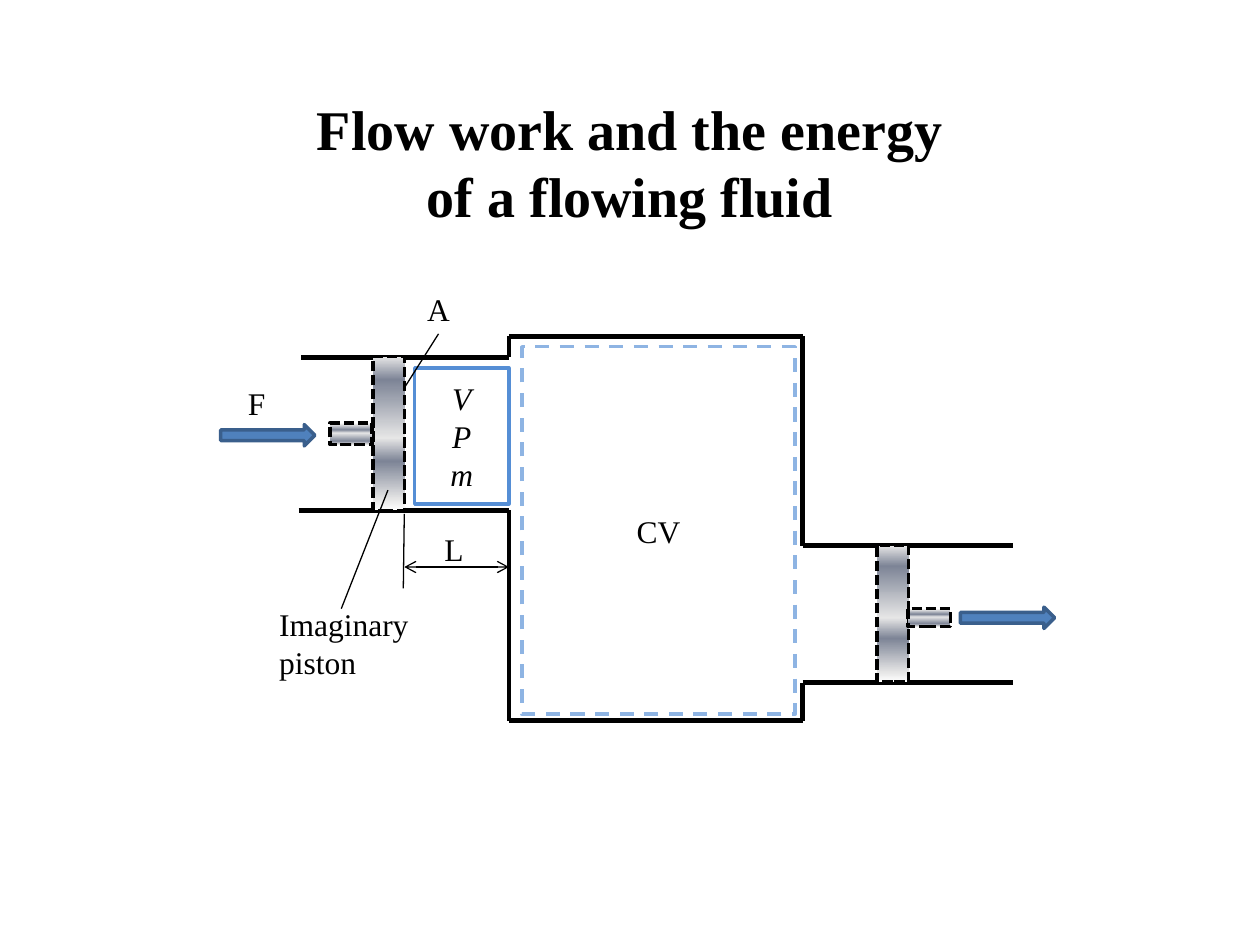
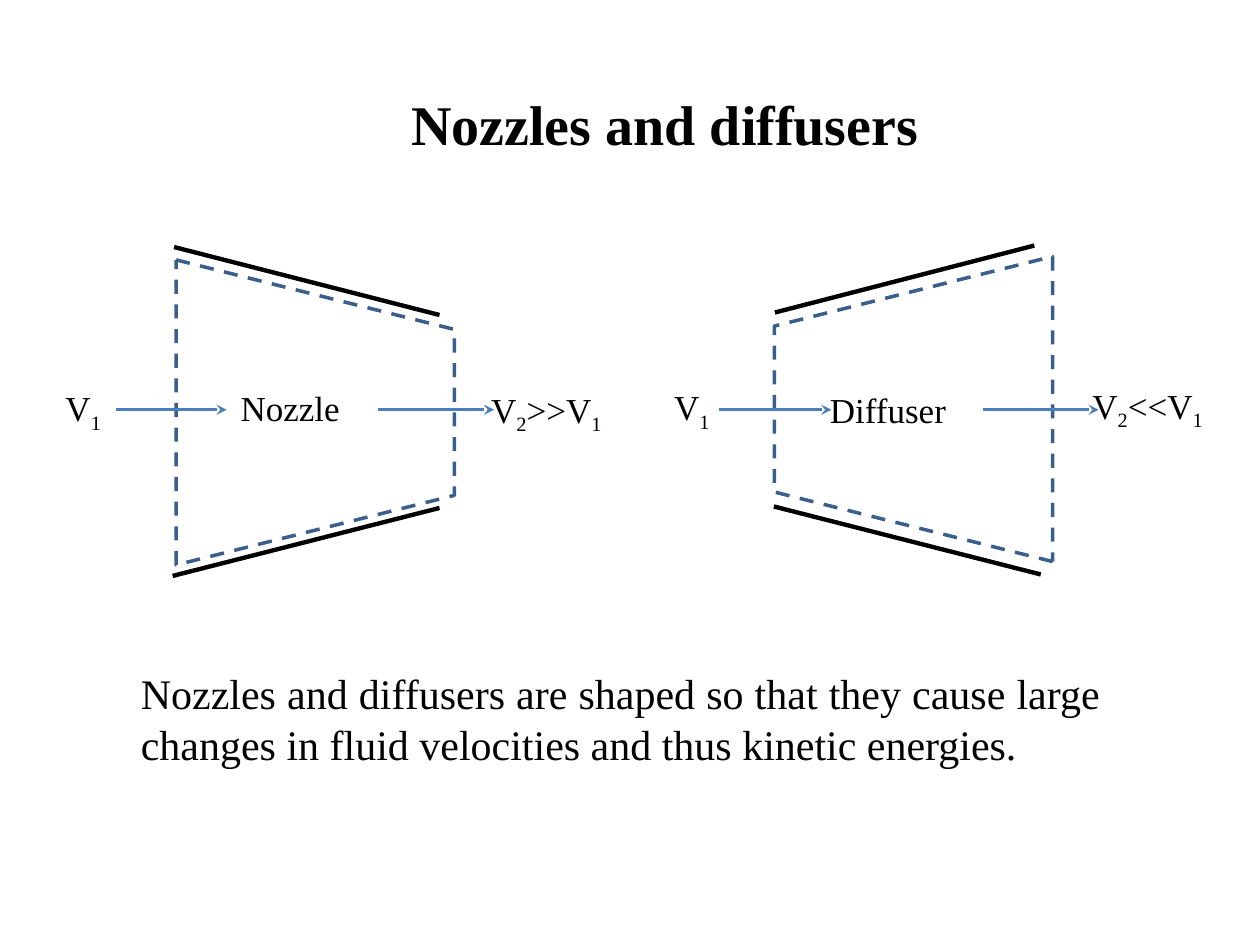
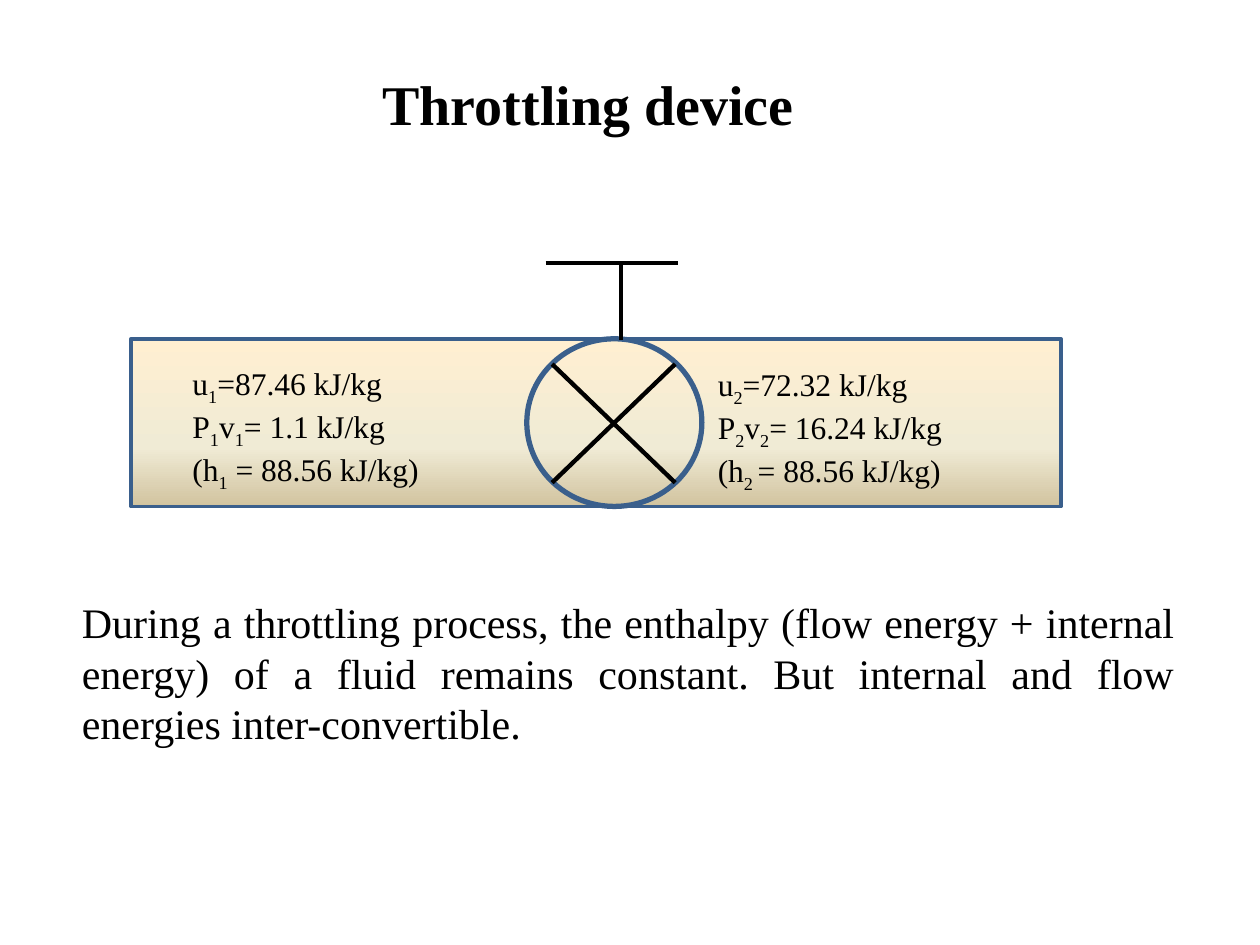
import pptx
import pptx.dml.color
import pptx.enum.dml
import pptx.enum.shapes
import pptx.enum.text
import pptx.oxml
import pptx.oxml.ns
import pptx.util
from lxml import etree

Cm = pptx.util.Cm
Pt = pptx.util.Pt
Shape = pptx.enum.shapes.MSO_SHAPE
Align = pptx.enum.text.PP_ALIGN
Anchor = pptx.enum.text.MSO_ANCHOR
Dash = pptx.enum.dml.MSO_LINE
qn = pptx.oxml.ns.qn

FONT = "Times New Roman"
BLACK = "000000"
BLUE = "4F81BD"
DARK_BLUE = "3A5F8C"
FLOW_BLUE = "4B7EBC"
METAL = [(0, "FFFFFF"), (7, "E6E6E6"), (32, "7D8496"),
         (47, "E6E6E6"), (85, "7D8496"), (100, "E6E6E6")]
SAND = [(0, "FFEFD1"), (65, "F0EBD5"), (100, "D1C39F")]


def colour(value):
    """Turn a hex string into a colour."""
    return pptx.dml.color.RGBColor.from_string(value)


def add_span(para, text, size, bold=False, italic=False, subscript=False):
    """Add one formatted run to a paragraph."""
    span = para.add_run()
    span.text = text
    span.font.name = FONT
    span.font.size = Pt(size)
    span.font.bold = bold
    span.font.italic = italic
    span.font.color.rgb = colour(BLACK)
    if subscript:
        span.font._element.set("baseline", "-25000")


def write(frame, lines, size, align=Align.LEFT, italic=False):
    """Write one paragraph per line, with subscripts between bars."""
    frame.word_wrap = True
    for index, line in enumerate(lines):
        para = frame.add_paragraph() if index else frame.paragraphs[0]
        para.alignment = align
        for part, text in enumerate(line.split("|")):
            if text:
                add_span(para, text, size, italic=italic, subscript=part % 2 == 1)


def add_page(deck, lines, left, top, width):
    """Add a title-only page with its title placed and formatted."""
    page = deck.slides.add_slide(deck.slide_layouts[5])
    title = page.shapes.title
    title.left, title.top = Cm(left), Cm(top)
    title.width, title.height = Cm(width), Cm(2.46)
    frame = title.text_frame
    frame.word_wrap = True
    frame.auto_size = pptx.enum.text.MSO_AUTO_SIZE.NONE
    frame.vertical_anchor = Anchor.TOP
    para = frame.paragraphs[0]
    para.alignment = Align.CENTER
    for index, line in enumerate(lines):
        if index:
            para.add_line_break()
        add_span(para, line, 32, bold=True)
    return page


def add_label(page, lines, left, top, width, height, size=18, align=Align.LEFT):
    """Add a text box."""
    box = page.shapes.add_textbox(Cm(left), Cm(top), Cm(width), Cm(height))
    write(box.text_frame, lines, size, align)


def add_box(page, kind, left, top, width, height, line=DARK_BLUE, weight=2,
            dash=None, fill=None):
    """Add an outlined preset shape, unfilled unless a fill is given."""
    box = page.shapes.add_shape(kind, Cm(left), Cm(top), Cm(width), Cm(height))
    box.shadow.inherit = False
    box.line.color.rgb = colour(line)
    box.line.width = Pt(weight)
    if dash:
        box.line.dash_style = dash
    if fill:
        box.fill.solid()
        box.fill.fore_color.rgb = colour(fill)
    else:
        box.fill.background()
    return box


def shade(box, stops, angle):
    """Fill a box with a linear gradient of the given stops."""
    box.fill.gradient()
    box.fill.gradient_angle = angle
    stop_list = box._element.spPr.find(qn("a:gradFill")).find(qn("a:gsLst"))
    for stop in list(stop_list):
        stop_list.remove(stop)
    for position, value in stops:
        stop = etree.SubElement(stop_list, qn("a:gs"), pos=str(position * 1000))
        etree.SubElement(stop, qn("a:srgbClr"), val=value)


def add_line(page, start, end, weight, line=BLACK, head=None, tail=None):
    """Add a straight line with optional arrowheads."""
    connector = page.shapes.add_connector(
        pptx.enum.shapes.MSO_CONNECTOR.STRAIGHT,
        Cm(start[0]), Cm(start[1]), Cm(end[0]), Cm(end[1]))
    connector.line.color.rgb = colour(line)
    connector.line.width = Pt(weight)
    outline = connector.line._get_or_add_ln()
    for tag, arrow in (("a:headEnd", head), ("a:tailEnd", tail)):
        if arrow:
            etree.SubElement(outline, qn(tag), type=arrow)
    etree.SubElement(connector._element.spPr, qn("a:effectLst"))


def add_wall(page, points):
    """Join successive points by thick lines."""
    for start, end in zip(points, points[1:]):
        add_line(page, start, end, 2.75)


def add_piston_part(page, left, top, width, height, angle):
    """Add a metallic part of an imaginary piston."""
    part = add_box(page, Shape.RECTANGLE, left, top, width, height,
                   BLACK, dash=Dash.SQUARE_DOT)
    shade(part, METAL, angle)


def build_flow_work(deck):
    """Build the page on flow work."""
    page = add_page(deck, ["Flow work and the energy", "of a flowing fluid"],
                    1.27, 1.78, 22.86)
    volume = add_box(page, Shape.RECTANGLE, 10.52, 6.99, 5.51, 7.41,
                     "8EB4E3", dash=Dash.DASH)
    volume.text_frame.vertical_anchor = Anchor.MIDDLE
    write(volume.text_frame, ["CV"], 18, Align.CENTER)

    add_wall(page, [(6.07, 7.2), (10.26, 7.2), (10.26, 6.78),
                    (16.18, 6.78), (16.18, 11), (20.42, 11)])
    add_wall(page, [(6.02, 10.29), (10.26, 10.29), (10.26, 14.53),
                    (16.18, 14.53), (16.18, 13.76), (20.42, 13.76)])

    fluid = add_box(page, Shape.RECTANGLE, 8.36, 7.42, 1.9, 2.74, "558ED5")
    frame = fluid.text_frame
    frame.vertical_anchor = Anchor.MIDDLE
    frame.margin_left = frame.margin_right = 0
    frame.margin_top = frame.margin_bottom = 0
    write(frame, ["V", "P", "m"], 18, Align.CENTER, italic=True)

    add_piston_part(page, 7.52, 7.19, 0.64, 3.1, 90)
    add_piston_part(page, 6.65, 8.53, 0.85, 0.43, 270)
    add_piston_part(page, 17.68, 11, 0.64, 2.75, 90)
    add_piston_part(page, 18.31, 12.27, 0.85, 0.36, 270)

    for text, left, top in (("A", 8.36, 5.72), ("L", 8.71, 10.57), ("F", 4.75, 7.62)):
        add_label(page, [text], left, top, 1.2, 1.02)
    add_label(page, ["Imaginary", "piston"], 5.38, 12.07, 3.3, 1.8)

    for start, end in (((8.15, 7.82), (8.84, 6.73)),
                       ((7.82, 9.88), (6.88, 12.27)),
                       ((8.15, 10.36), (8.13, 11.86))):
        add_line(page, start, end, 0.75)
    add_line(page, (8.15, 11.43), (10.26, 11.43), 0.75, head="arrow", tail="arrow")
    for left, top in ((4.45, 8.56), (19.36, 12.24)):
        add_box(page, Shape.RIGHT_ARROW, left, top, 1.9, 0.43, fill=BLUE)


def build_nozzles(deck):
    """Build the page on nozzles and diffusers."""
    page = add_page(deck, ["Nozzles and diffusers"], 1.27, 1.68, 24.28)
    for left, top, turn in ((3.28, 5.51, 90), (15.34, 5.44, 270)):
        duct = add_box(page, Shape.TRAPEZOID, left, top, 6.15, 5.61, dash=Dash.DASH)
        duct.rotation = turn
    for start, end in (((3.51, 4.98), (8.86, 6.35)),
                       ((15.6, 10.21), (20.98, 11.58)),
                       ((3.48, 11.61), (8.86, 10.24)),
                       ((15.62, 6.3), (20.85, 4.95))):
        add_line(page, start, end, 2.5)
    for start, end in ((2.34, 4.57), (7.62, 9.96), (14.5, 16.76), (19.81, 22.15)):
        add_line(page, (start, 8.26), (end, 8.26), 1.75, FLOW_BLUE, tail="stealth")
    for text, left, top, width in (("Nozzle", 4.6, 7.67, 4.04),
                                   ("Diffuser", 16.48, 7.7, 4.04),
                                   ("V|1", 1.07, 7.67, 1.57),
                                   ("V|1", 13.34, 7.65, 1.57),
                                   ("V|2|>>V|1", 9.65, 7.7, 3.45),
                                   ("V|2|<<V|1", 21.77, 7.62, 3.86)):
        add_label(page, [text], left, top, width, 1.12, 20)
    add_label(page, ["Nozzles and diffusers are shaped so that they cause large "
                     "changes in fluid velocities and thus kinetic energies."],
              2.59, 13.34, 19.84, 2.31, 24, Align.JUSTIFY)


def build_throttling(deck):
    """Build the page on the throttling device."""
    page = add_page(deck, ["Throttling device"], -0.18, 1.27, 24.08)
    pipe = add_box(page, Shape.RECTANGLE, 2.64, 6.83, 18.75, 3.38)
    shade(pipe, SAND, 270)
    add_box(page, Shape.FLOWCHART_CONNECTOR, 10.62, 6.83, 3.53, 3.38, weight=3)
    add_line(page, (11.13, 7.34), (13.61, 9.73), 2.5)
    add_line(page, (13.61, 7.34), (11.13, 9.73), 2.5)
    add_line(page, (12.52, 6.86), (12.52, 5.33), 2.25)
    add_line(page, (11, 5.31), (13.67, 5.31), 2.25)
    add_label(page, ["u|1|=87.46 kJ/kg", "P|1|v|1|= 1.1 kJ/kg",
                     "(h|1| = 88.56 kJ/kg)"], 3.63, 7.21, 7.59, 2.57)
    add_label(page, ["u|2|=72.32 kJ/kg", "P|2|v|2|= 16.24 kJ/kg",
                     "(h|2 |= 88.56 kJ/kg)"], 14.22, 7.24, 7.37, 2.57)
    add_label(page, ["During a throttling process, the enthalpy (flow energy + "
                     "internal energy) of a fluid remains constant. But internal "
                     "and flow energies inter-convertible."],
              1.4, 11.91, 22.53, 3.33, 24, Align.JUSTIFY)


def main():
    """Build the deck and save it."""
    deck = pptx.Presentation()
    deck.slide_width, deck.slide_height = Cm(25.4), Cm(19.05)
    build_flow_work(deck)
    build_nozzles(deck)
    build_throttling(deck)
    deck.save("out.pptx")


if __name__ == "__main__":
    main()
